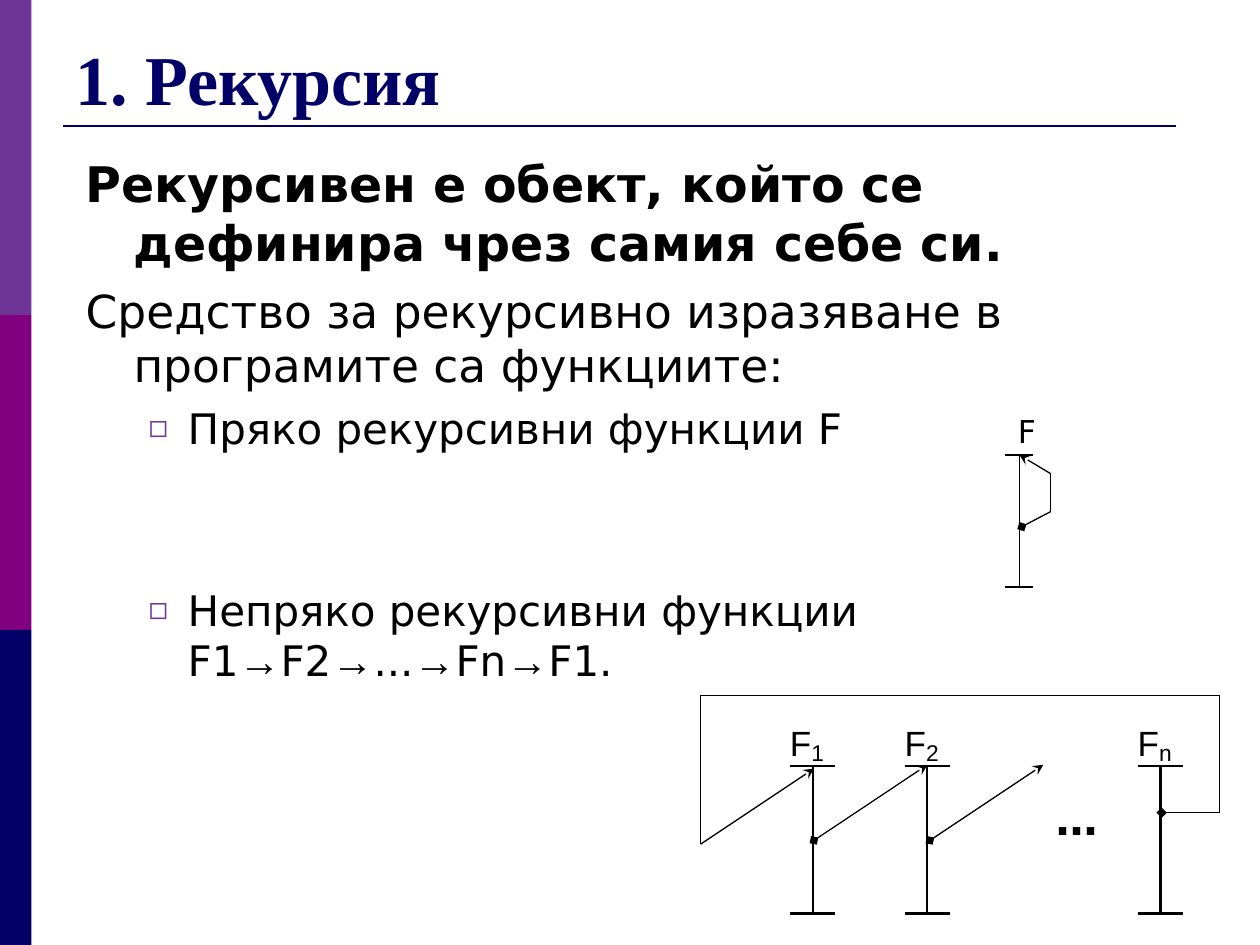
from lxml.etree import SubElement
from pptx import Presentation
from pptx.dml.color import RGBColor
from pptx.enum.shapes import MSO_CONNECTOR, MSO_SHAPE
from pptx.enum.text import MSO_ANCHOR, MSO_AUTO_SIZE, PP_ALIGN
from pptx.oxml.ns import qn
from pptx.util import Inches, Pt

NAVY, PURPLE, VIOLET, BLACK = "000066", "800080", "6D3696", "000000"
SANS, SERIF, LABEL = "DejaVu Sans", "Times New Roman", "Arial"
POLE_TOP, POLE_BOTTOM, CALL = 6.08, 7.25, 6.67
LOOP_LEFT, LOOP_RIGHT, LOOP_TOP = 5.56, 9.68, 5.52


def color(code):
    """Turn a hex string into a colour."""
    return RGBColor.from_string(code)


def style(span, size, font=SANS, code=BLACK, bold=False):
    """Format one run."""
    span.font.size = Pt(size)
    span.font.name = font
    span.font.bold = bold
    span.font.color.rgb = color(code)


def place(shape, left, top, width, height):
    """Move and size a shape in inches."""
    shape.left, shape.top = Inches(left), Inches(top)
    shape.width, shape.height = Inches(width), Inches(height)


def add_stripe(page, row, code):
    """Add one third of the side band."""
    stripe = page.shapes.add_shape(
        MSO_SHAPE.RECTANGLE, 0, Inches(2.5 * row), Inches(0.25), Inches(2.5))
    stripe.shadow.inherit = False
    stripe.fill.solid()
    stripe.fill.fore_color.rgb = color(code)
    stripe.line.fill.background()


def add_line(page, start, end, width=0.75, code=BLACK, head=None, tail=None):
    """Connect two points, with optional end marks."""
    line = page.shapes.add_connector(
        MSO_CONNECTOR.STRAIGHT, *map(Inches, start), *map(Inches, end))
    line.line.color.rgb = color(code)
    line.line.width = Pt(width)
    outline = line.line._get_or_add_ln()
    for tag, mark in (("a:headEnd", head), ("a:tailEnd", tail)):
        if mark:
            SubElement(outline, qn(tag), type=mark)
    SubElement(line._element.spPr, qn("a:effectLst"))


def add_path(page, points, head=None, tail=None):
    """Draw a chain of lines marked at its two ends."""
    last = len(points) - 2
    for index, (start, end) in enumerate(zip(points, points[1:])):
        add_line(page, start, end, head=head if index == 0 else None,
                 tail=tail if index == last else None)


def add_pole(page, x, top, bottom, half, width):
    """Draw a function as an upright line between two bars."""
    add_line(page, (x, top), (x, bottom), width)
    for y in (top, bottom):
        add_line(page, (x - half, y), (x + half, y), width)


def add_label(page, text, area, size, font=LABEL, bold=False, inset=0):
    """Add a short unwrapped text."""
    box = page.shapes.add_textbox(*map(Inches, area))
    frame = box.text_frame
    frame.word_wrap = False
    frame.margin_left = frame.margin_right = Inches(inset)
    frame.margin_top = frame.margin_bottom = Inches(inset / 2)
    frame.text = text
    style(frame.paragraphs[0].runs[0], size, font, bold=bold)


def format_paragraph(para, size, before, bullet, bold=False):
    """Set the spacing, indent, bullet and runs of a body paragraph."""
    para.space_before = Pt(before)
    properties = para._p.get_or_add_pPr()
    margin, indent = (0.81, -0.31) if bullet else (0.38, -0.38)
    properties.set("marL", str(Inches(margin)))
    properties.set("indent", str(Inches(indent)))
    if bullet:
        para.level = 1
        tint = SubElement(properties, qn("a:buClr"))
        SubElement(tint, qn("a:srgbClr"), val=VIOLET)
        SubElement(properties, qn("a:buSzPct"), val="75000")
        SubElement(properties, qn("a:buChar"), char="◻")
    else:
        SubElement(properties, qn("a:buNone"))
    for span in para.runs:
        style(span, size, LABEL if span.text == "→" else SANS, bold=bold)


def fill_title(title):
    """Write the heading."""
    place(title, 0.5, 0.3, 9, 0.7)
    frame = title.text_frame
    frame.text = "1. Рекурсия"
    frame.auto_size = MSO_AUTO_SIZE.NONE
    frame.vertical_anchor = MSO_ANCHOR.BOTTOM
    frame.paragraphs[0].alignment = PP_ALIGN.LEFT
    style(frame.paragraphs[0].runs[0], 40, SERIF, NAVY, True)


def fill_body(body):
    """Write the definition and the two kinds of recursion."""
    place(body, 0.58, 1.17, 8.83, 6)
    frame = body.text_frame
    frame.auto_size = MSO_AUTO_SIZE.NONE
    frame.text = "\n".join((
        "Рекурсивен е обект, който се дефинира чрез самия себе си.",
        "Средство за рекурсивно изразяване в програмите са функциите:",
        "Пряко рекурсивни функции F",
        "Непряко рекурсивни функции F1"))
    definition, means, direct, indirect = frame.paragraphs
    for text in ("→", "F2", "→", "...", "→", "Fn", "→", "F1."):
        indirect.add_run().text = text
    format_paragraph(definition, 28, 7, False, True)
    format_paragraph(means, 26, 6.5, False)
    format_paragraph(direct, 24, 6, True)
    format_paragraph(indirect, 24, 75, True)


def draw_direct(page):
    """Draw the function that calls itself."""
    add_pole(page, 8.09, 3.61, 4.66, 0.11, 0.88)
    add_label(page, "F", (7.98, 3.22, 0.33, 0.4), 18, SANS, inset=0.1)
    add_path(page, [(8.11, 4.18), (8.34, 4.06), (8.34, 3.76), (8.09, 3.61)],
             "diamond", "stealth")


def draw_indirect(page):
    """Draw the chain of functions that returns to the first."""
    for x, index in ((6.45, "1"), (7.36, "2"), (9.21, "n")):
        add_pole(page, x, POLE_TOP, POLE_BOTTOM, 0.18, 1.25)
        add_label(page, "F", (x - 0.18, 5.73, 0.17, 0.33), 20)
        add_label(page, index, (x - 0.01, 5.86, 0.1, 0.22), 13)
    add_label(page, "…", (8.28, 6.25, 0.48, 0.5), 24, SANS, True, 0.1)
    for x in (6.46, 7.38):
        add_line(page, (x, CALL), (x + 0.9, CALL - 0.6),
                 head="diamond", tail="stealth")
    add_path(page, [(9.22, 6.45), (LOOP_RIGHT, 6.45), (LOOP_RIGHT, LOOP_TOP),
                    (LOOP_LEFT, LOOP_TOP), (LOOP_LEFT, 6.7), (6.46, 6.1)],
             "diamond", "stealth")


def main():
    """Build and save the slide."""
    deck = Presentation()
    deck.slide_width, deck.slide_height = Inches(10), Inches(7.5)
    page = deck.slides.add_slide(deck.slide_layouts[1])
    for row, code in enumerate((VIOLET, PURPLE, NAVY)):
        add_stripe(page, row, code)
    add_line(page, (0.5, 1), (9.33, 1), 1.5, NAVY)
    fill_title(page.shapes.title)
    fill_body(page.placeholders[1])
    draw_indirect(page)
    draw_direct(page)
    deck.save("out.pptx")


if __name__ == "__main__":
    main()
